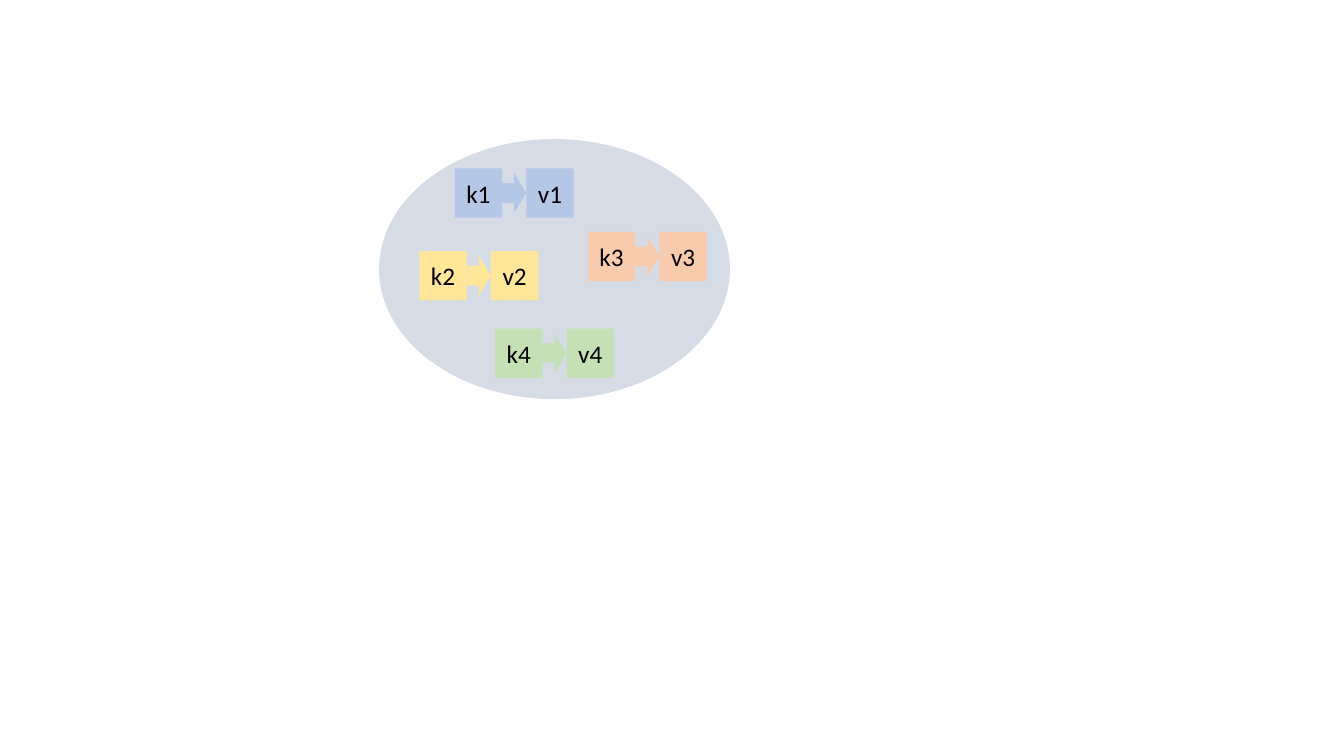
from dataclasses import dataclass

from pptx import Presentation
from pptx.dml.color import RGBColor
from pptx.enum.shapes import MSO_SHAPE
from pptx.enum.text import MSO_ANCHOR, PP_ALIGN
from pptx.shapes.autoshape import Shape
from pptx.slide import Slide
from pptx.util import Inches, Pt

OVAL = MSO_SHAPE.OVAL
RECT = MSO_SHAPE.RECTANGLE
ARROW = MSO_SHAPE.RIGHT_ARROW
MIDDLE = MSO_ANCHOR.MIDDLE
CENTER = PP_ALIGN.CENTER

COLORS = {
    "map": "D6DCE5",
    "yellow": "FFE699",
    "blue": "B4C7E7",
    "orange": "F8CBAD",
    "green": "C5E0B4",
    "text": "000000",
}

BOX_W, BOX_H = 0.47, 0.49
ARROW_W, ARROW_H = 0.24, 0.39


@dataclass(frozen=True)
class Entry:
    number: int
    left: float
    top: float
    color: str


ENTRIES = [
    Entry(2, 4.16, 2.49, "yellow"),
    Entry(1, 4.51, 1.67, "blue"),
    Entry(3, 5.83, 2.3, "orange"),
    Entry(4, 4.91, 3.26, "green"),
]


def add_filled(s: Slide, kind: MSO_SHAPE, left: float, top: float,
               width: float, height: float, color: str) -> Shape:
    sp = s.shapes.add_shape(kind, Inches(left), Inches(top), Inches(width), Inches(height))
    sp.shadow.inherit = False
    sp.fill.solid()
    sp.fill.fore_color.rgb = RGBColor.from_string(COLORS[color])
    sp.line.fill.background()
    return sp


def add_box(s: Slide, text: str, left: float, top: float, color: str) -> None:
    sp = add_filled(s, RECT, left, top, BOX_W, BOX_H, color)
    tf = sp.text_frame
    tf.vertical_anchor = MIDDLE
    p = tf.paragraphs[0]
    p.text = text
    p.alignment = CENTER
    p.font.name = "Calibri"
    p.font.size = Pt(18)
    p.font.color.rgb = RGBColor.from_string(COLORS["text"])


def add_entry(s: Slide, entry: Entry) -> None:
    """Draw a key box, a value box and the arrow that fills the gap between them."""
    arrow_left = entry.left + BOX_W
    arrow_top = entry.top + (BOX_H - ARROW_H) / 2
    add_box(s, f"k{entry.number}", entry.left, entry.top, entry.color)
    add_box(s, f"v{entry.number}", arrow_left + ARROW_W, entry.top, entry.color)
    add_filled(s, ARROW, arrow_left, arrow_top, ARROW_W, ARROW_H, entry.color)


def main() -> None:
    prs = Presentation()
    prs.slide_width = Inches(13.33)
    prs.slide_height = Inches(7.5)
    s = prs.slides.add_slide(prs.slide_layouts[6])
    add_filled(s, OVAL, 3.76, 1.38, 3.48, 2.58, "map")
    for entry in ENTRIES:
        add_entry(s, entry)
    prs.save("out.pptx")


if __name__ == "__main__":
    main()
